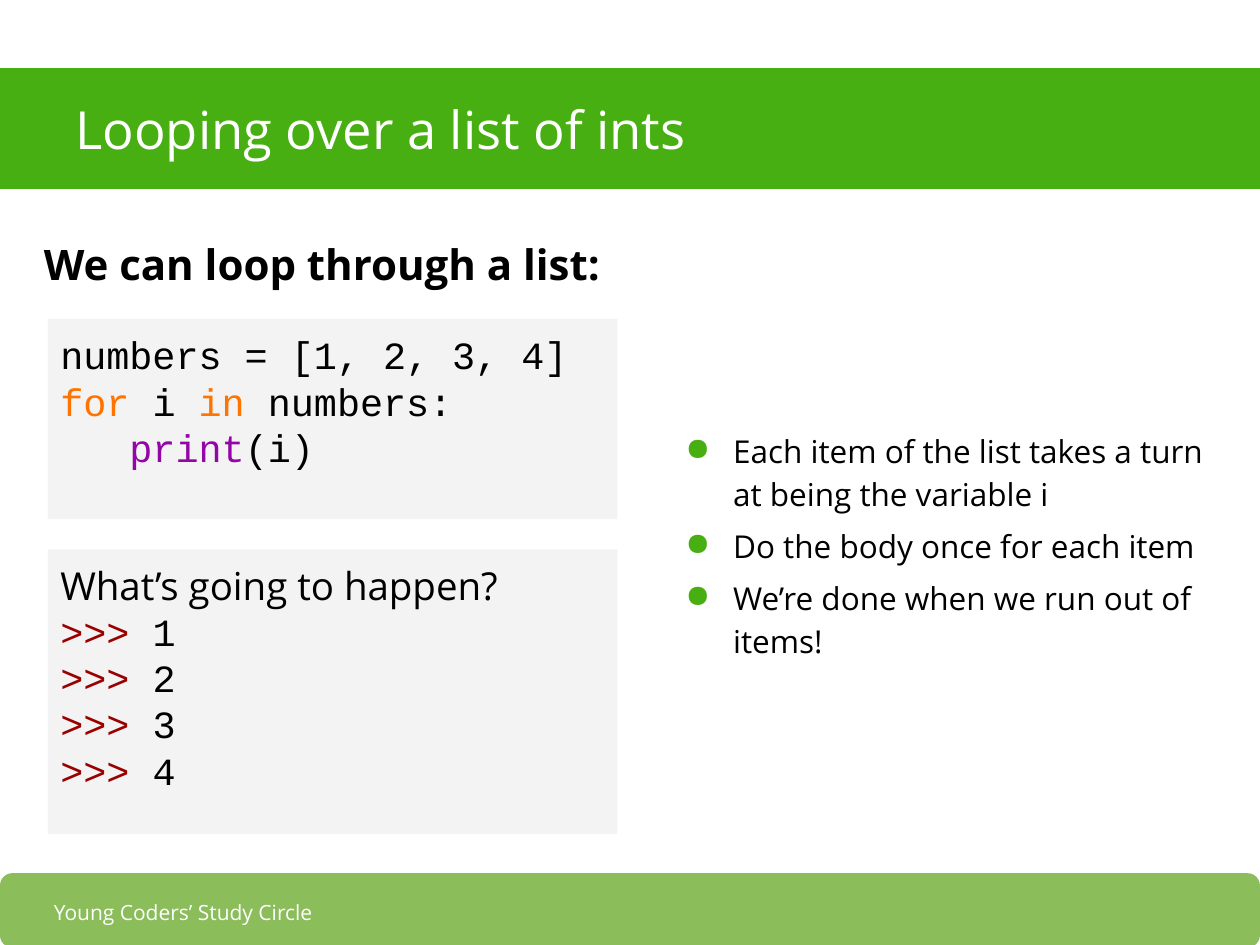
from dataclasses import dataclass

from lxml import etree
from pptx import Presentation
from pptx.dml.color import RGBColor
from pptx.enum.shapes import MSO_SHAPE
from pptx.enum.text import MSO_ANCHOR, PP_ALIGN
from pptx.oxml.ns import qn
from pptx.util import Inches, Pt

RECT = MSO_SHAPE.RECTANGLE
ROUND = MSO_SHAPE.ROUNDED_RECTANGLE
TOP, MID = MSO_ANCHOR.TOP, MSO_ANCHOR.MIDDLE
LEFT, RIGHT = PP_ALIGN.LEFT, PP_ALIGN.RIGHT


@dataclass(frozen=True)
class Theme:
    sans: str = "Open Sans"
    mono: str = "Courier New"
    green: str = "47AF11"
    pale: str = "8BBD5B"
    panel: str = "F3F3F3"
    white: str = "FFFFFF"
    black: str = "000000"
    key: str = "FF7400"
    call: str = "9305A6"
    prompt: str = "9A0000"
    title: int = 30
    head: int = 24
    code: int = 22
    body: int = 18
    foot: int = 12


THEME = Theme()


def add_block(slide, kind, box, color):
    """Add a plain filled shape without outline or shadow."""
    shape = slide.shapes.add_shape(kind, *map(Inches, box))
    shape.shadow.inherit = False
    shape.fill.solid()
    shape.fill.fore_color.rgb = RGBColor.from_string(color)
    shape.line.fill.background()
    return shape


def add_box(slide, box):
    return slide.shapes.add_textbox(*map(Inches, box))


def add_bullet(para):
    """Give a paragraph a hanging green dot."""
    props = para._p.get_or_add_pPr()
    props.set("marL", str(Inches(0.5)))
    props.set("indent", str(Inches(-0.38)))
    color = etree.SubElement(props, qn("a:buClr"))
    etree.SubElement(color, qn("a:srgbClr"), val=THEME.green)
    etree.SubElement(props, qn("a:buChar"), char="●")


def write(shape, lines, size, anchor=TOP, bullet=False, **form):
    """Fill a shape with lines, each a list of (text, font, color, bold) runs."""
    frame = shape.text_frame
    pad = Inches(0.1)
    layout = {"word_wrap": True, "vertical_anchor": anchor,
              "margin_left": pad, "margin_right": pad,
              "margin_top": pad, "margin_bottom": pad}
    for name, value in layout.items():
        setattr(frame, name, value)
    for num, line in enumerate(lines):
        para = frame.paragraphs[0] if num == 0 else frame.add_paragraph()
        if bullet:
            add_bullet(para)
        values = {"alignment": LEFT, **form}
        if num == 0:
            values["space_before"] = Pt(0)
        for name, value in values.items():
            setattr(para, name, value)
        for text, face, color, bold in line:
            run = para.add_run()
            run.text = text
            marks = {"name": face, "size": Pt(size), "bold": bold}
            for name, value in marks.items():
                setattr(run.font, name, value)
            run.font.color.rgb = RGBColor.from_string(color)


def sans(text, color=THEME.black, bold=False):
    return text, THEME.sans, color, bold


def mono(text, color=THEME.black):
    return text, THEME.mono, color, False


def main():
    deck = Presentation()
    deck.slide_width, deck.slide_height = Inches(10), Inches(7.5)
    slide = deck.slides.add_slide(deck.slide_layouts[6])

    # Footer
    add_block(slide, ROUND, (0, 6.93, 10, 0.59), THEME.pale)
    write(add_box(slide, (-0.38, 7.04, 2.96, 0.39)),
          [[sans("Young Coders’ Study Circle", THEME.white)]],
          THEME.foot, MID, alignment=RIGHT)

    # Title band
    add_block(slide, RECT, (-0.07, 0.54, 10.12, 0.96), THEME.green)
    write(add_box(slide, (0.5, 0.54, 9, 0.96)),
          [[sans("Looping over a list of ints", THEME.white)]],
          THEME.title, MID)

    # Heading
    write(add_box(slide, (0.25, 1.73, 9, 0.57)),
          [[sans("We can loop through a list:", bold=True)]],
          THEME.head, line_spacing=1.15)

    # Notes on the loop
    notes = ("Each item of the list takes a turn at being the variable i",
             "Do the body once for each item",
             "We’re done when we run out of items!")
    write(add_box(slide, (5.22, 2.3, 4.52, 4.02)),
          [[sans(note)] for note in notes], THEME.body, MID, bullet=True,
          line_spacing=1.15, space_before=Pt(4.8))

    # Code panel
    code = [[mono("numbers = [1, 2, 3, 4]")],
            [mono("for ", THEME.key), mono("i "),
             mono("in ", THEME.key), mono("numbers:")],
            [mono("   "), mono("print", THEME.call), mono("(i)")]]
    write(add_block(slide, RECT, (0.38, 2.53, 4.52, 1.59), THEME.panel),
          code, THEME.code)

    # Output panel
    output = [[mono(">>> ", THEME.prompt), mono(str(item))]
              for item in range(1, 5)]
    write(add_block(slide, RECT, (0.38, 4.36, 4.52, 2.26), THEME.panel),
          [[sans("What’s going to happen?")]] + output, THEME.code)

    deck.save("out.pptx")


if __name__ == "__main__":
    main()
